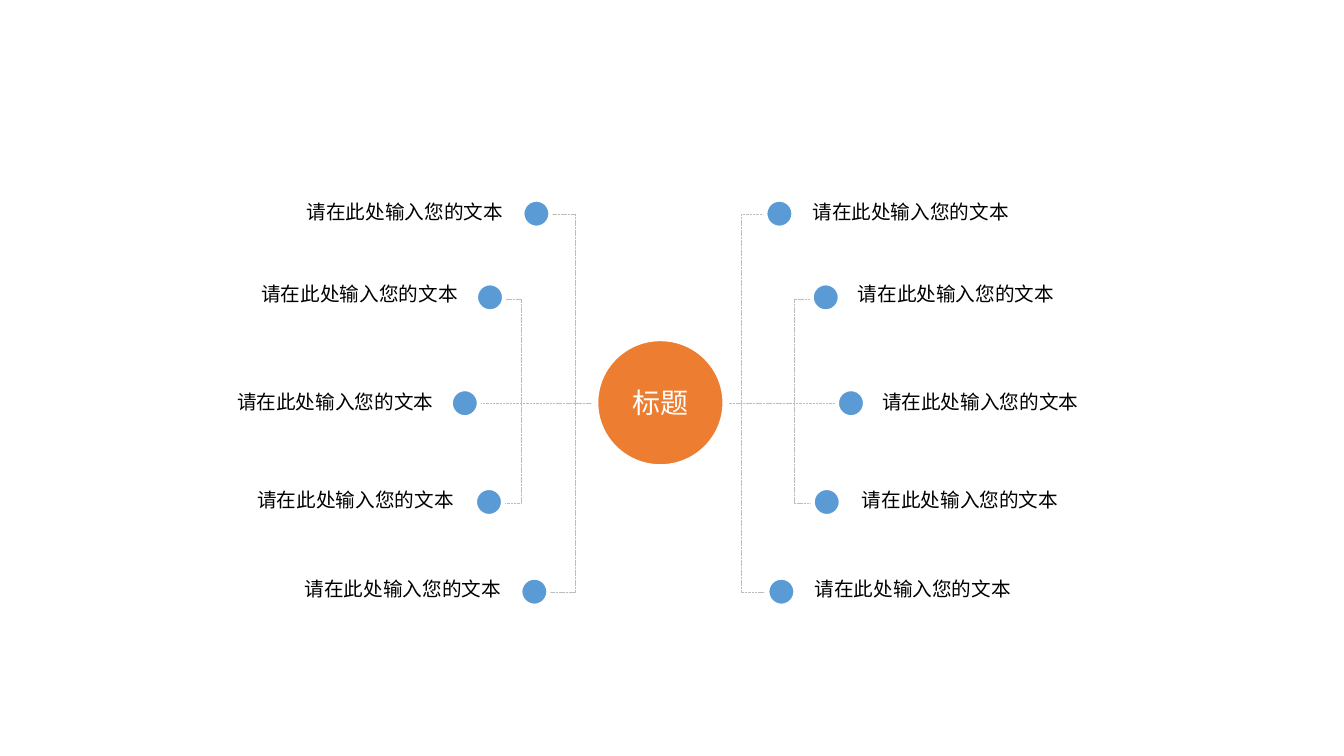
from typing import NamedTuple

from lxml import etree
from pptx import Presentation
from pptx import util as u
from pptx.dml.color import RGBColor
from pptx.enum import dml, shapes, text
from pptx.oxml.ns import qn

PX = 9144  # 100 px to the inch
MIRROR = 1305  # left side x = MIRROR - right side x
DOT = 28
LABEL_W, LABEL_H = 347, 41
FONT = "Noto Sans CJK SC"
LABEL = "请在此处输入您的文本"
ORANGE, BLUE, GREY = "ED7D31", "5B9BD5", "BCBCBC"
WHITE, BLACK = "FFFFFF", "000000"


class Branch(NamedTuple):
    """Right-hand position of a dot and its label."""
    dot_x: int
    dot_y: int
    label_x: int
    label_y: int


class Bracket(NamedTuple):
    """Right-hand dashed bracket joining an upper and a lower dot."""
    top_x: int
    top_y: int
    spine_x: int
    bottom_x: int
    bottom_y: int


BRANCHES = [
    Branch(759, 198, 796, 186),
    Branch(805, 281, 841, 268),
    Branch(830, 386, 865, 375),
    Branch(806, 484, 845, 472),
    Branch(761, 573, 798, 560),
]
BRACKETS = [
    Bracket(766, 212, 735, 767, 587),
    Bracket(812, 297, 788, 810, 499),
]


def px(value: int) -> u.Emu:
    return u.Emu(value * PX)


def colour(value: str) -> RGBColor:
    return RGBColor.from_string(value)


def set_format(target, values: dict) -> None:
    for name, value in values.items():
        setattr(target, name, value)


def style_dashes(line) -> None:
    line.color.rgb = colour(GREY)
    set_format(line, {"width": u.Pt(0.25),
                      "dash_style": dml.MSO_LINE.SQUARE_DOT})


def write(frame, words: str, size: int, hex_colour: str, paragraph_format: dict) -> None:
    paragraph = frame.paragraphs[0]
    set_format(paragraph, paragraph_format)
    run = paragraph.add_run()
    run.text = words
    set_format(run.font, {"size": u.Pt(size), "name": FONT})
    run.font.color.rgb = colour(hex_colour)
    # East Asian typeface
    etree.SubElement(run._r.get_or_add_rPr(), qn("a:ea")).set("typeface", FONT)


def draw_circle(slide, x: int, y: int, w: int, h: int, fill: str, border: int):
    circle = slide.shapes.add_shape(shapes.MSO_SHAPE.OVAL, px(x), px(y), px(w), px(h))
    circle.shadow.inherit = False
    circle.fill.solid()
    circle.fill.fore_color.rgb = colour(fill)
    circle.line.color.rgb = colour(WHITE)
    circle.line.width = u.Pt(border)
    return circle


def draw_bracket(slide, bracket: Bracket, left: bool) -> None:
    top_x, spine_x, bottom_x = (
        MIRROR - x if left else x
        for x in (bracket.top_x, bracket.spine_x, bracket.bottom_x))
    builder = slide.shapes.build_freeform(top_x, bracket.top_y, scale=PX)
    builder.add_line_segments([(spine_x, bracket.top_y),
                               (spine_x, bracket.bottom_y),
                               (bottom_x, bracket.bottom_y)], close=False)
    outline = builder.convert_to_shape()
    outline.shadow.inherit = False
    outline.fill.background()
    style_dashes(outline.line)


def draw_dot(slide, branch: Branch, left: bool) -> None:
    x = MIRROR - branch.dot_x - DOT if left else branch.dot_x
    draw_circle(slide, x, branch.dot_y, DOT, DOT, BLUE, 3)


def draw_label(slide, branch: Branch, left: bool) -> None:
    x = MIRROR - branch.label_x - LABEL_W if left else branch.label_x
    label = slide.shapes.add_textbox(px(x), px(branch.label_y), px(LABEL_W), px(LABEL_H))
    set_format(label.text_frame, {"word_wrap": True,
                                  "auto_size": text.MSO_AUTO_SIZE.SHAPE_TO_FIT_TEXT})
    alignment = text.PP_ALIGN.RIGHT if left else text.PP_ALIGN.LEFT
    write(label.text_frame, LABEL, 14, BLACK,
          {"alignment": alignment, "line_spacing": 1.3})


def main() -> None:
    deck = Presentation()
    set_format(deck, {"slide_width": px(1333), "slide_height": px(750)})
    slide = deck.slides.add_slide(deck.slide_layouts[6])

    # Middle line, behind the title circle
    axis = slide.shapes.add_connector(shapes.MSO_CONNECTOR.STRAIGHT,
                                      px(466), px(400), px(846), px(400))
    style_dashes(axis.line)
    etree.SubElement(axis._element.spPr, qn("a:effectLst"))

    # Title circle
    title = draw_circle(slide, 590, 335, 130, 129, ORANGE, 5)
    set_format(title.text_frame, {"word_wrap": False,
                                  "vertical_anchor": text.MSO_ANCHOR.MIDDLE})
    write(title.text_frame, "标题", 20, WHITE, {"alignment": text.PP_ALIGN.CENTER})

    # Right side, then its mirrored left side
    for left in (False, True):
        for bracket in BRACKETS:
            draw_bracket(slide, bracket, left)
        for branch in BRANCHES:
            draw_dot(slide, branch, left)
        for branch in BRANCHES:
            draw_label(slide, branch, left)

    deck.save("out.pptx")


if __name__ == "__main__":
    main()
